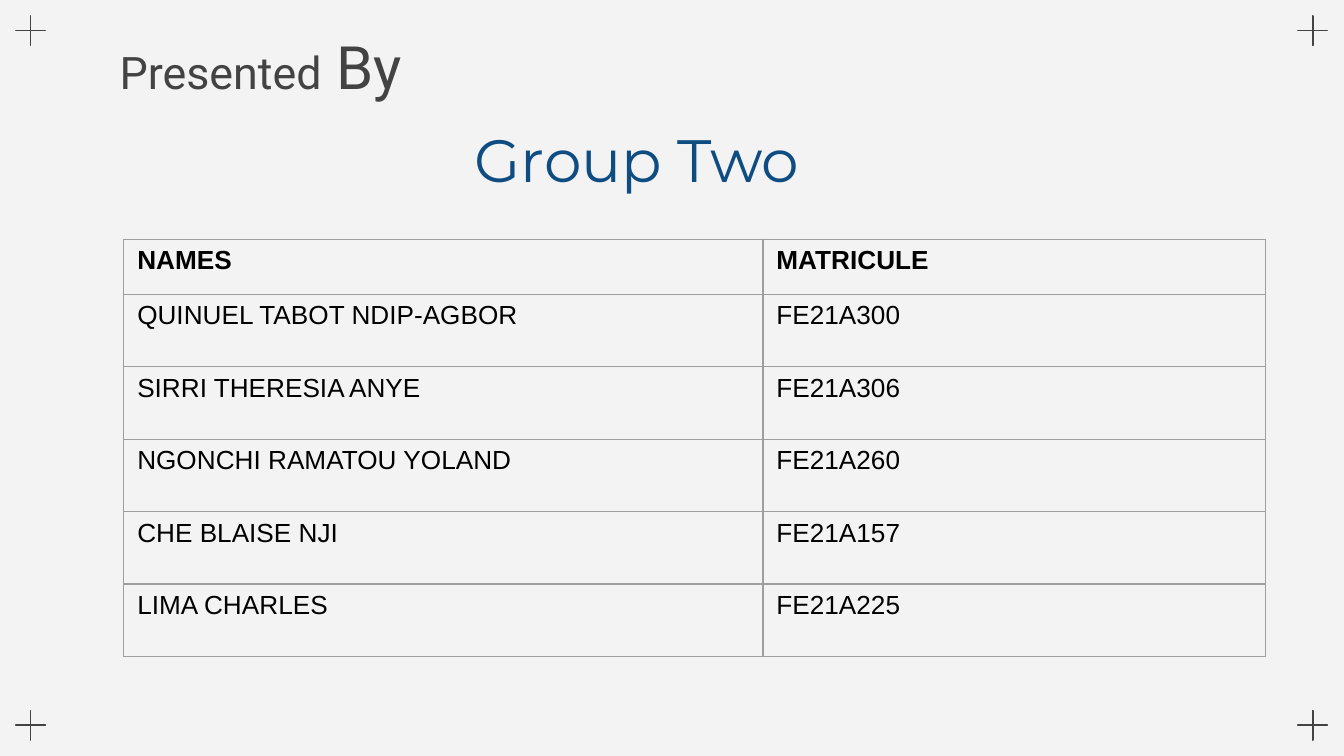
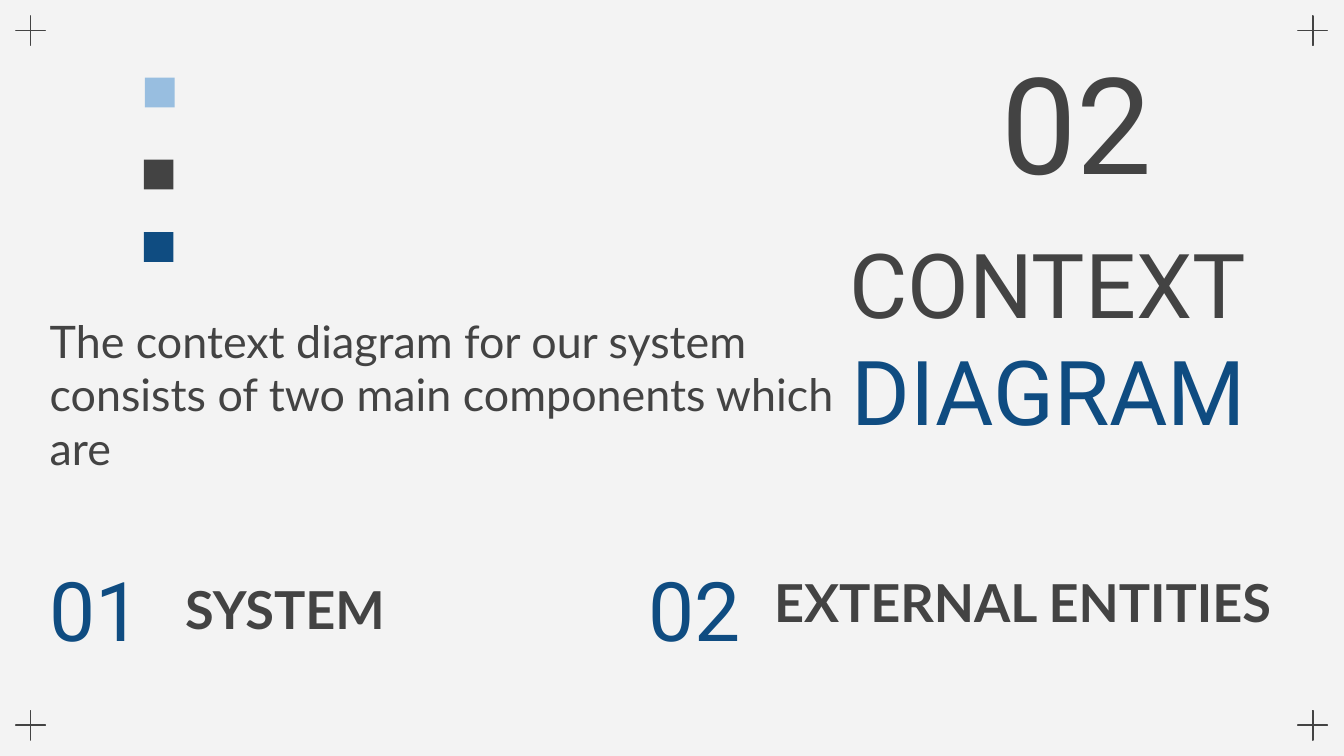
from lxml import etree
from pptx import Presentation
from pptx.dml.color import RGBColor
from pptx.enum import shapes, text
from pptx.oxml import ns
from pptx.util import Cm, Pt

COLORS = {
    "background": "F3F3F3",
    "dark": "434343",
    "blue": "0F4C81",
    "light_blue": "98BEE0",
    "border": "9E9E9E",
    "black": "000000",
}
LEFT, CENTER, RIGHT = text.PP_ALIGN.LEFT, text.PP_ALIGN.CENTER, text.PP_ALIGN.RIGHT
MIDDLE, BOTTOM = text.MSO_ANCHOR.MIDDLE, text.MSO_ANCHOR.BOTTOM


def add_run(paragraph, words, font_name, size, color, bold=False):
    run = paragraph.add_run()
    run.text = words
    run.font.name = font_name
    run.font.size = Pt(size)
    run.font.bold = bold
    run.font.color.rgb = RGBColor.from_string(COLORS[color])


def set_up_text(shape, box, anchor, alignment=LEFT):
    shape.left, shape.top, shape.width, shape.height = [Cm(length) for length in box]
    frame = shape.text_frame
    frame.word_wrap = True
    frame.auto_size = text.MSO_AUTO_SIZE.NONE
    frame.vertical_anchor = anchor
    frame.margin_left = frame.margin_right = Cm(0.25)
    frame.margin_top = frame.margin_bottom = Cm(0.25)
    paragraph = frame.paragraphs[0]
    paragraph.alignment = alignment
    paragraph.space_before = Pt(0)
    return paragraph


presentation = Presentation()
presentation.slide_width = Cm(25.4)
presentation.slide_height = Cm(14.29)
master = presentation.slide_master
master.background.fill.solid()
master.background.fill.fore_color.rgb = RGBColor.from_string(COLORS["background"])

slide = presentation.slides.add_slide(presentation.slide_layouts.get_by_name("Title Only"))
paragraph = set_up_text(slide.shapes.title, (5.79, 1.52, 12.5, 2.41), BOTTOM, CENTER)
add_run(paragraph, "Group Two", "Montserrat", 32, "blue")

presenter_box = slide.shapes.add_textbox(0, 0, 0, 0)
paragraph = set_up_text(presenter_box, (2.01, -0.3, 14.91, 3.07), MIDDLE)
add_run(paragraph, "Presented", "Roboto", 24, "dark")
add_run(paragraph, " By", "Roboto", 32, "dark")

members = [
    ("NAMES", "MATRICULE"),
    ("QUINUEL TABOT NDIP-AGBOR", "FE21A300"),
    ("SIRRI THERESIA ANYE", "FE21A306"),
    ("NGONCHI RAMATOU YOLAND", "FE21A260"),
    ("CHE BLAISE NJI", "FE21A157"),
    ("LIMA CHARLES", "FE21A225"),
]
table = slide.shapes.add_table(
    len(members), 2, Cm(2.34), Cm(4.52), Cm(21.57), Cm(7.89)
).table
table.columns[0].width = Cm(12.08)
table.columns[1].width = Cm(9.49)
for row_index, member in enumerate(members):
    is_header = row_index == 0
    table.rows[row_index].height = Cm(1.04 if is_header else 1.37)
    for column_index, words in enumerate(member):
        cell = table.cell(row_index, column_index)
        add_run(cell.text_frame.paragraphs[0], words, "Arial", 14, "black", is_header)
        properties = cell._tc.get_or_add_tcPr()
        for side in ("a:lnL", "a:lnR", "a:lnT", "a:lnB"):
            border = etree.SubElement(properties, ns.qn(side), w=str(Pt(0.75)))
            fill = etree.SubElement(border, ns.qn("a:solidFill"))
            etree.SubElement(fill, ns.qn("a:srgbClr"), val=COLORS["border"])
        cell.fill.background()

slide = presentation.slides.add_slide(presentation.slide_layouts.get_by_name("Title Slide"))
paragraph = set_up_text(slide.shapes.title, (11.3, 3.86, 12.5, 4.78), BOTTOM, RIGHT)
add_run(paragraph, "CONTEXT", "Roboto", 48, "dark")
paragraph.add_line_break()
add_run(paragraph, "DIAGRAM", "Roboto", 48, "blue")

paragraph = set_up_text(slide.placeholders[1], (0.69, 5.84, 15.37, 3.38), BOTTOM)
add_run(
    paragraph,
    "The context diagram for our system consists of two main components which are",
    "Lato", 24, "dark",
)

for left, top, color in [
    (2.72, 4.39, "blue"),
    (2.74, 1.47, "light_blue"),
    (2.72, 3.02, "dark"),
]:
    square = slide.shapes.add_shape(
        shapes.MSO_SHAPE.RECTANGLE, Cm(left), Cm(top), Cm(0.56), Cm(0.56)
    )
    square.shadow.inherit = False
    square.fill.solid()
    square.fill.fore_color.rgb = RGBColor.from_string(COLORS[color])
    square.line.fill.background()

labels = [
    ("02", (18.67, 0.74, 9.63, 3.07), MIDDLE, "Roboto", 72, "dark", False),
    ("01", (0.69, 10.29, 2.34, 2.44), MIDDLE, "Roboto", 44, "blue", False),
    ("02", (12.01, 10.29, 2.34, 2.44), MIDDLE, "Roboto", 44, "blue", False),
    ("SYSTEM", (3.25, 10.67, 6.83, 1.68), BOTTOM, "Lato", 28, "dark", True),
    ("EXTERNAL ENTITIES", (14.38, 10.16, 11.02, 2.06), BOTTOM, "Lato", 28, "dark", True),
]
for words, box, anchor, font_name, size, color, bold in labels:
    label = slide.shapes.add_textbox(0, 0, 0, 0)
    paragraph = set_up_text(label, box, anchor)
    add_run(paragraph, words, font_name, size, color, bold)

corner_marks = []
for left in (0.2, 24.43):
    for top in (0.2, 13.33):
        mark = slide.shapes.add_shape(
            shapes.MSO_SHAPE.MATH_PLUS, Cm(left), Cm(top), Cm(0.76), Cm(0.76)
        )
        mark.adjustments[0] = 0.007
        mark.shadow.inherit = False
        mark.fill.background()
        mark.line.color.rgb = RGBColor.from_string(COLORS["dark"])
        mark.line.width = Pt(0.75)
        corner_marks.append(mark)
for mark in corner_marks:
    master.shapes.element.append(mark.element)

presentation.save("out.pptx")
